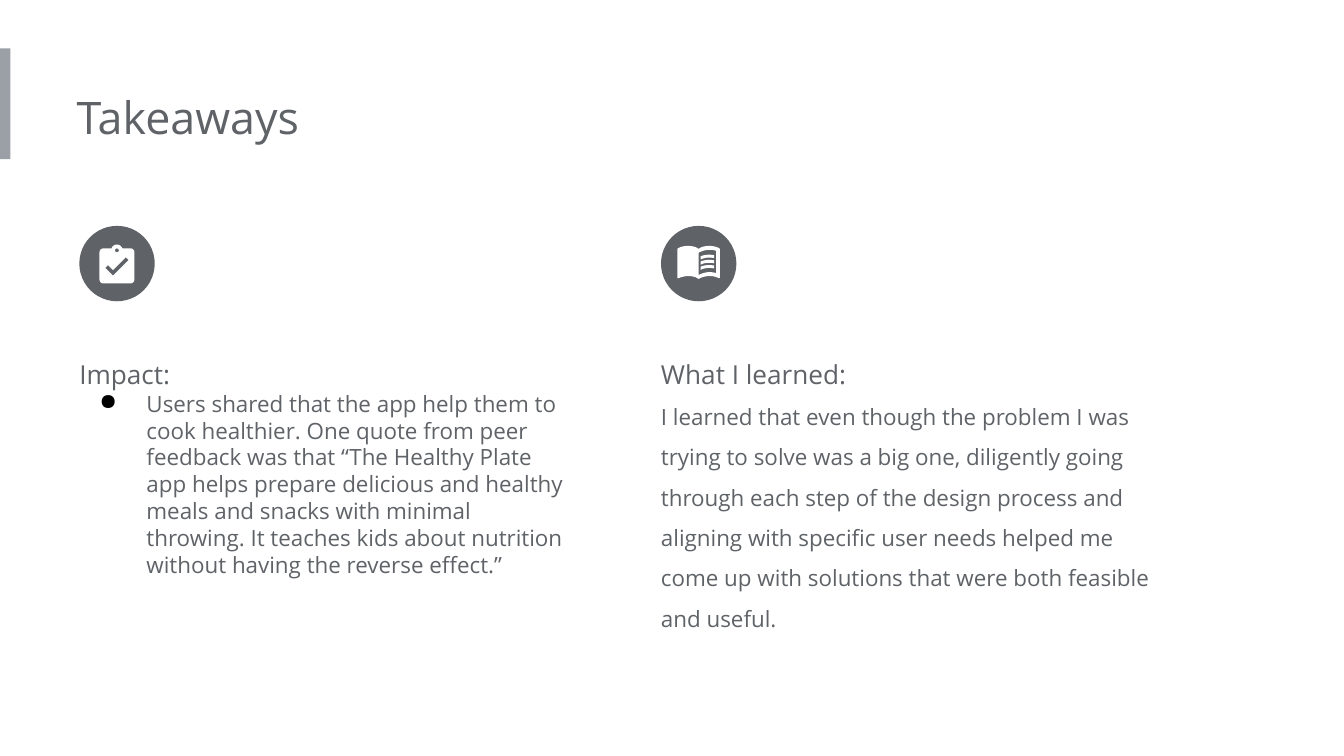
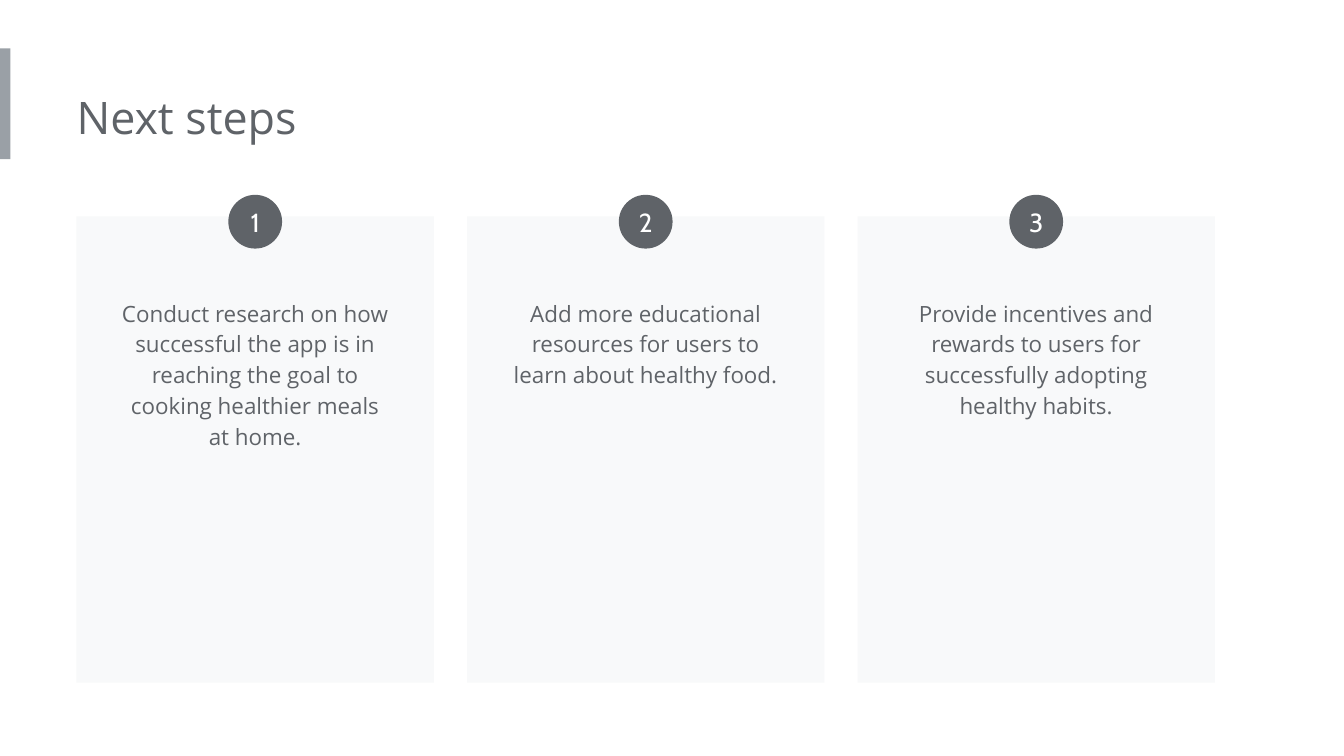
from dataclasses import dataclass

from lxml.etree import SubElement
from pptx import Presentation
from pptx.dml.color import RGBColor as Rgb
from pptx.enum.shapes import MSO_SHAPE as Shape
from pptx.enum.text import MSO_ANCHOR as Anchor, MSO_AUTO_SIZE as Fit, PP_ALIGN as Align
from pptx.oxml.ns import qn
from pptx.util import Pt


@dataclass(frozen=True)
class Theme:
    """Colours, fonts and type sizes shared by the slides."""
    gray: str = "5F6368"
    band: str = "9AA0A6"
    card: str = "F8F9FA"
    white: str = "FFFFFF"
    black: str = "000000"
    sans: str = "Open Sans"
    digit: str = "Cabin"
    title: int = 24
    head: int = 14
    body: int = 12


THEME = Theme()
UNIT = 1.04

CLIP = [
    [(19, 3), (14.82, 3), (14.4, 1.84, 13.3, 1, 12, 1), (10.7, 1, 9.6, 1.84, 9.18, 3),
     (5, 3), (3.9, 3, 3, 3.9, 3, 5), (3, 19), (3, 20.1, 3.9, 21, 5, 21),
     (19, 21), (20.1, 21, 21, 20.1, 21, 19), (21, 5), (21, 3.9, 20.1, 3, 19, 3)],
    [(12, 3), (12.55, 3, 13, 3.45, 13, 4), (13, 4.55, 12.55, 5, 12, 5),
     (11.45, 5, 11, 4.55, 11, 4), (11, 3.45, 11.45, 3, 12, 3)],
    [(10, 17), (6, 13), (7.41, 11.59), (10, 14.17), (16.59, 7.58), (18, 9)],
]
BOOK = [
    [(21, 5), (19.89, 4.65, 18.67, 4.5, 17.5, 4.5), (15.55, 4.5, 13.45, 4.9, 12, 6),
     (10.55, 4.9, 8.45, 4.5, 6.5, 4.5), (4.55, 4.5, 2.45, 4.9, 1, 6), (1, 20.65),
     (1, 20.9, 1.25, 21.15, 1.5, 21.15), (1.75, 21.1), (3.1, 20.45, 5.05, 20, 6.5, 20),
     (8.45, 20, 10.55, 20.4, 12, 21.5), (13.35, 20.65, 15.8, 20, 17.5, 20),
     (19.15, 20, 20.85, 20.3, 22.25, 21.05), (22.5, 21.1),
     (22.75, 21.1, 23, 20.85, 23, 20.6), (23, 6), (22.4, 5.55, 21.75, 5.25, 21, 5)],
    [(21, 18.5), (19.9, 18.15, 18.7, 18, 17.5, 18), (15.8, 18, 13.35, 18.65, 12, 19.5),
     (12, 8), (13.35, 7.15, 15.8, 6.5, 17.5, 6.5), (18.7, 6.5, 19.9, 6.65, 21, 7)],
]
LINE = [
    [(17.5, 10.5), (18.38, 10.5, 19.23, 10.59, 20, 10.76), (20, 9.24),
     (19.21, 9.09, 18.36, 9, 17.5, 9), (15.8, 9, 14.26, 9.29, 13, 9.83),
     (13, 11.49), (14.13, 10.85, 15.7, 10.5, 17.5, 10.5)],
]


def paint(shape, color):
    """Give a shape a flat fill with no line or shadow."""
    shape.fill.solid()
    shape.fill.fore_color.rgb = Rgb.from_string(color)
    shape.line.fill.background()
    shape.shadow.inherit = False
    return shape


def block(slide, kind, x, y, w, h, color):
    """Add a plain filled preset shape."""
    return paint(slide.shapes.add_shape(kind, Pt(x), Pt(y), Pt(w), Pt(h)), color)


def style(para, size, color=THEME.gray, font=THEME.sans, align=Align.LEFT, space=None):
    """Format a whole paragraph."""
    para.alignment = align
    if space:
        para.line_spacing = space
    para.font.size = Pt(size)
    para.font.name = font
    para.font.color.rgb = Rgb.from_string(color)


def fit(frame, left, pad=7.2, grow=True):
    """Set wrapping, margins and growth of a text frame."""
    frame.word_wrap = True
    frame.auto_size = Fit.SHAPE_TO_FIT_TEXT if grow else Fit.NONE
    frame.vertical_anchor = Anchor.TOP if grow else Anchor.MIDDLE
    frame.margin_left = Pt(left)
    frame.margin_top = frame.margin_right = frame.margin_bottom = Pt(pad)
    return frame


def label(slide, x, y, w, h, left):
    """Add a growing text box and return its frame."""
    return fit(slide.shapes.add_textbox(Pt(x), Pt(y), Pt(w), Pt(h)).text_frame, left)


def bullet(para):
    """Give a paragraph a hanging black bullet."""
    props = para._p.get_or_add_pPr()
    props.set("marL", str(Pt(36)))
    props.set("indent", str(Pt(-25.2)))
    tint = SubElement(props, qn("a:buClr"))
    SubElement(tint, qn("a:srgbClr"), val=THEME.black)
    SubElement(props, qn("a:buChar"), char="●")


def trace(steps, drop):
    """Turn line and cubic steps into points in hundredths of a unit."""
    pts = [steps[0]]
    for step in steps[1:]:
        if len(step) == 2:
            pts.append(step)
            continue
        a, b, c, d = pts[-1], step[:2], step[2:4], step[4:]
        for t in (n / 6 for n in range(1, 7)):
            s = 1 - t
            pts.append(tuple(s**3 * a[i] + 3 * s * s * t * b[i] + 3 * s * t * t * c[i]
                             + t**3 * d[i] for i in (0, 1)))
    return [(x * 100, (y + drop) * 100) for x, y in pts]


def glyph(shapes, paths, x, y, drop=0):
    """Draw closed outlines as one white freeform."""
    first, *rest = [trace(steps, drop) for steps in paths]
    pen = shapes.build_freeform(*first[0], scale=Pt(UNIT) / 100)
    pen.add_line_segments(first[1:])
    for pts in rest:
        pen.move_to(*pts[0])
        pen.add_line_segments(pts[1:])
    paint(pen.convert_to_shape(Pt(x), Pt(y)), THEME.white)


def clip(slide, x, y):
    """Draw the clipboard icon in the disc at x, y."""
    glyph(slide.shapes, CLIP, x + 7.7, y + 9)


def book(slide, x, y):
    """Draw the open book icon in the disc at x, y."""
    shapes = slide.shapes.add_group_shape().shapes
    glyph(shapes, BOOK, x + 7.7, y + 6.1)
    for row in range(3):
        glyph(shapes, LINE, x + 7.7, y + 6.1, row * 2.67)


def brand(deck, slide):
    """Place the side band on the layout that the slides share."""
    band = block(slide, Shape.RECTANGLE, 0, 26, 5.6, 59.3, THEME.band)
    band.element.xpath(".//p:cNvPr")[0].set("id", "20")
    slide.slide_layout.shapes.element.append(band.element)


def page(deck, name):
    """Add a titled slide."""
    slide = deck.slides.add_slide(deck.slide_layouts[5])
    title = slide.shapes.title
    title.left, title.top, title.width, title.height = Pt(41), Pt(41), Pt(388), Pt(44)
    frame = fit(title.text_frame, 0)
    frame.text = name
    style(frame.paragraphs[0], THEME.title)
    return slide


def column(slide, x, y, w, h, icon, head, body, dots):
    """Place an icon disc above a heading and its text."""
    block(slide, Shape.OVAL, x, y, 40.4, 40.4, THEME.gray)
    icon(slide, x, y)
    frame = label(slide, x, y + 55.4, w, h, 0)
    top = frame.paragraphs[0]
    top.text = head
    style(top, THEME.head, space=1.5)
    para = frame.add_paragraph()
    para.text = body
    if dots:
        bullet(para)
    style(para, THEME.body, space=None if dots else 1.5)


def card(slide, x, y, w, h, num, body):
    """Place a numbered card with centred text."""
    disc, pad = 28.8, 15.1
    block(slide, Shape.RECTANGLE, x, y, w, h, THEME.card)
    badge = block(slide, Shape.OVAL, x + (w - disc) / 2, y - 11.6, disc, disc, THEME.gray)
    frame = fit(badge.text_frame, 0, 0, False)
    frame.text = str(num)
    style(frame.paragraphs[0], THEME.head, THEME.white, THEME.digit, Align.CENTER)
    frame = label(slide, x + pad, y + 35.2, w - 2 * pad, 98, 7.2)
    frame.text = body
    style(frame.paragraphs[0], THEME.body, align=Align.CENTER, space=1.15)


def learn(deck):
    """Build the takeaways slide."""
    slide = page(deck, "Takeaways")
    brand(deck, slide)
    cols = [
        (clip, "Impact:",
         "Users shared that the app help them to cook healthier. One quote from peer "
         "feedback was that “The Healthy Plate app helps prepare delicious and healthy "
         "meals and snacks with minimal throwing. It teaches kids about nutrition "
         "without having the reverse effect.”", True),
        (book, "What I learned:",
         "I learned that even though the problem I was trying to solve was a big one, "
         "diligently going through each step of the design process and aligning with "
         "specific user needs helped me come up with solutions that were both feasible "
         "and useful.", False),
    ]
    for i, col in enumerate(cols):
        column(slide, 42.5 + i * 311.6, 121, 271.4, 142 + i * 21.5, *col)


def steps(deck):
    """Build the next steps slide."""
    slide = page(deck, "Next steps")
    texts = [
        "Conduct research on how successful the app is in reaching the goal to cooking "
        "healthier meals at home.",
        "Add more educational resources for users to learn about healthy food.",
        "Provide incentives and rewards to users for successfully adopting healthy habits.",
    ]
    for i, text in enumerate(texts):
        card(slide, 41 + i * 209.2, 116, 191.5, 249.8, i + 1, text)


def main():
    """Build and save the deck."""
    deck = Presentation()
    deck.slide_width, deck.slide_height = Pt(720), Pt(405)
    learn(deck)
    steps(deck)
    deck.save("out.pptx")


if __name__ == "__main__":
    main()
